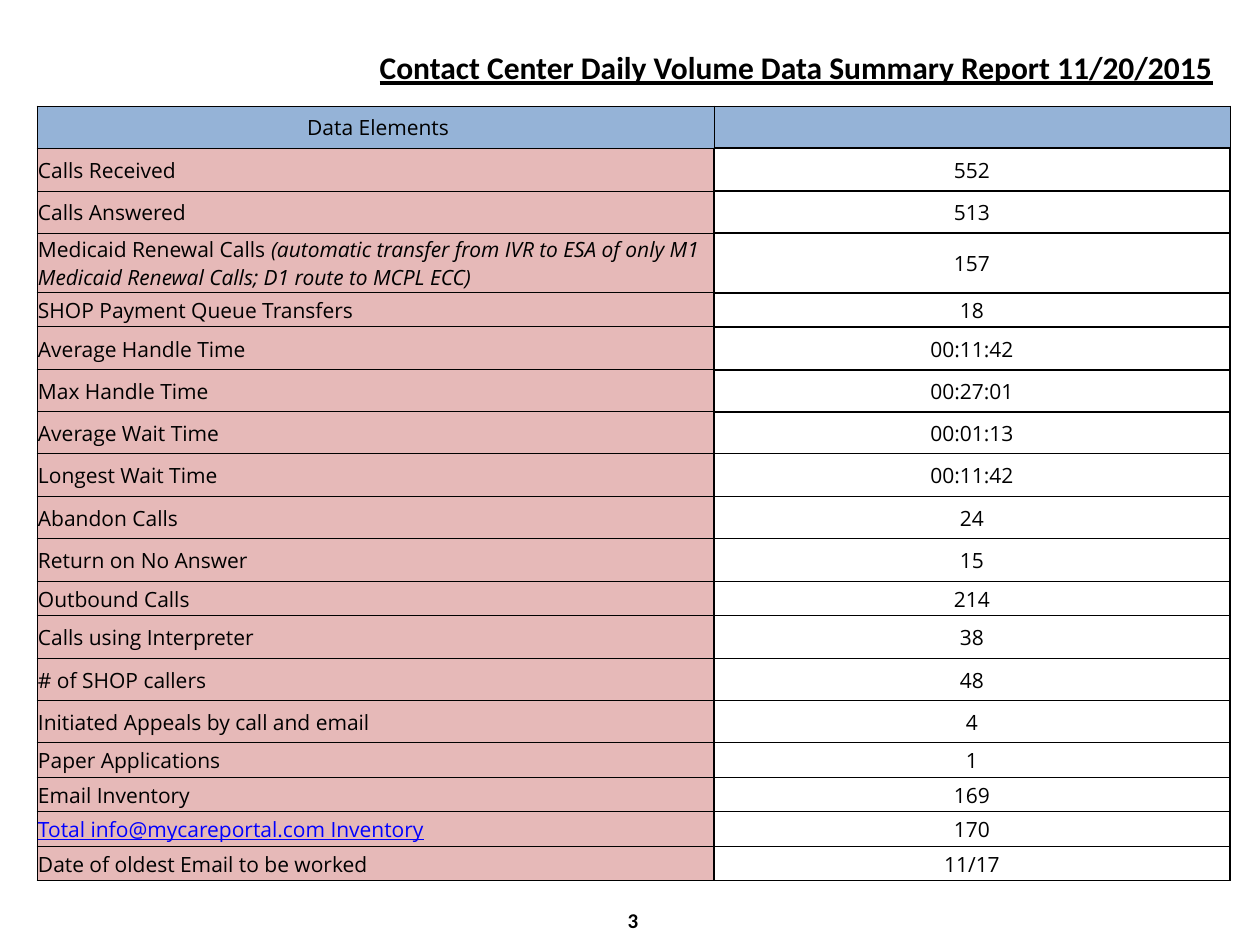
from dataclasses import dataclass
from itertools import pairwise

from lxml import etree
from pptx import Presentation
from pptx.dml.color import RGBColor
from pptx.enum.text import MSO_ANCHOR, PP_ALIGN
from pptx.oxml.ns import qn
from pptx.util import Emu, Pt

MIDDLE = MSO_ANCHOR.MIDDLE
LEFT, CENTER = PP_ALIGN.LEFT, PP_ALIGN.CENTER
SCALE = 914400 / 126
HEX = {"black": "000000", "white": "FFFFFF", "blue": "95B3D7",
       "pink": "E6B9B8", "link": "0000FF"}
HEAD = {"name": "Calibri", "size": Pt(18), "bold": True, "underline": True}
FOOT = {"name": "Calibri", "size": Pt(12), "bold": True}
BODY = {"name": "Open Sans", "size": Pt(12), "bold": False}
INSET = {"margin_left": 1, "margin_top": 1, "margin_right": 1, "margin_bottom": 0}
THIN, THICK = 0.5, 1
TOP = 106


@dataclass
class Row:
    label: str
    value: str
    end: int
    note: str = ""
    link: bool = False


ROWS = [
    Row("\u00a0Data Elements", "", 148),
    Row("Calls Received", "552", 191),
    Row("Calls Answered", "513", 233),
    Row("Medicaid Renewal Calls ", "157", 293,
        note="(automatic transfer from IVR to ESA of only M1 "
             "Medicaid Renewal Calls; D1 route to MCPL ECC)"),
    Row("SHOP Payment Queue Transfers", "18", 327),
    Row("Average Handle Time", "00:11:42", 370),
    Row("Max Handle Time", "00:27:01", 412),
    Row("Average Wait Time", "00:01:13", 454),
    Row("Longest Wait Time", "00:11:42", 497),
    Row("Abandon Calls", "24", 539),
    Row("Return on No Answer", "15", 582),
    Row("Outbound Calls", "214", 616),
    Row("Calls using Interpreter", "38", 659),
    Row("# of SHOP callers", "48", 701),
    Row("Initiated Appeals by call and email", "4", 743),
    Row("Paper Applications", "1", 778),
    Row("Email Inventory", "169", 812),
    Row("Total info@mycareportal.com Inventory", "170", 847, link=True),
    Row("Date of oldest Email to be worked", "11/17", 881),
]


def px(num: int) -> Emu:
    return Emu(round(num * SCALE))


def style(font, look: dict, color: str = "black") -> None:
    for key, val in look.items():
        setattr(font, key, val)
    font.color.rgb = RGBColor.from_string(HEX[color])


def write(para, text: str, look: dict, color: str = "black") -> None:
    run = para.add_run()
    run.text = text
    style(run.font, look, color)


def place(shape, box: tuple, text: str, look: dict, align) -> None:
    for key, val in zip(("left", "top", "width", "height"), box):
        setattr(shape, key, px(val))
    frame = shape.text_frame
    frame.word_wrap = True
    frame.vertical_anchor = MIDDLE
    para = frame.paragraphs[0]
    para.alignment = align
    write(para, text, look)


def edge(cell, sides: dict) -> None:
    props = cell._tc.get_or_add_tcPr()
    for side, width in sides.items():
        line = etree.SubElement(props, qn(f"a:ln{side}"), w=str(Pt(width)))
        fill = etree.SubElement(line, qn("a:solidFill"))
        etree.SubElement(fill, qn("a:srgbClr"), val=HEX["black"])


def paint(cell, color: str, align, sides: dict):
    for key, val in INSET.items():
        setattr(cell, key, px(val))
    cell.vertical_anchor = MIDDLE
    edge(cell, sides)
    cell.fill.solid()
    cell.fill.fore_color.rgb = RGBColor.from_string(HEX[color])
    para = cell.text_frame.paragraphs[0]
    para.alignment = align
    style(para.font, BODY)
    return para


def fill_row(cells, row: Row, first: bool, last: bool) -> None:
    name, data = cells
    thin = dict.fromkeys("LRTB", THIN)
    if first:
        para = paint(name, "blue", CENTER, thin)
        paint(data, "blue", CENTER, thin | {"B": THICK})
    else:
        low = THICK if last else THIN
        para = paint(name, "pink", LEFT, thin | {"R": THICK, "B": low})
        write(paint(data, "white", CENTER, dict.fromkeys("LRTB", THICK)),
              row.value, BODY)
    write(para, row.label, BODY | {"underline": row.link},
          "link" if row.link else "black")
    if row.note:
        write(para, row.note, BODY | {"italic": True})


def main() -> None:
    deck = Presentation()
    deck.slide_width, deck.slide_height = px(1260), px(945)
    slide = deck.slides.add_slide(deck.slide_layouts[5])
    place(slide.shapes.title, (367, 42, 862, 50),
          "Contact Center Daily Volume Data Summary Report 11/20/2015", HEAD, LEFT)
    page = slide.shapes.add_textbox(0, 0, 0, 0)
    place(page, (433, 895, 400, 50), "3", FOOT, CENTER)

    ends = [TOP] + [row.end for row in ROWS]
    grid = slide.shapes.add_table(len(ROWS), 2, px(37), px(TOP), px(1193),
                                  px(ends[-1] - TOP)).table
    grid.first_row = grid.horz_banding = False
    for col, width in zip(grid.columns, (677, 516)):
        col.width = px(width)
    for num, (row, (start, end)) in enumerate(zip(ROWS, pairwise(ends))):
        line = grid.rows[num]
        line.height = px(end - start)
        fill_row(line.cells, row, num == 0, num == len(ROWS) - 1)
    deck.save("out.pptx")


main()
